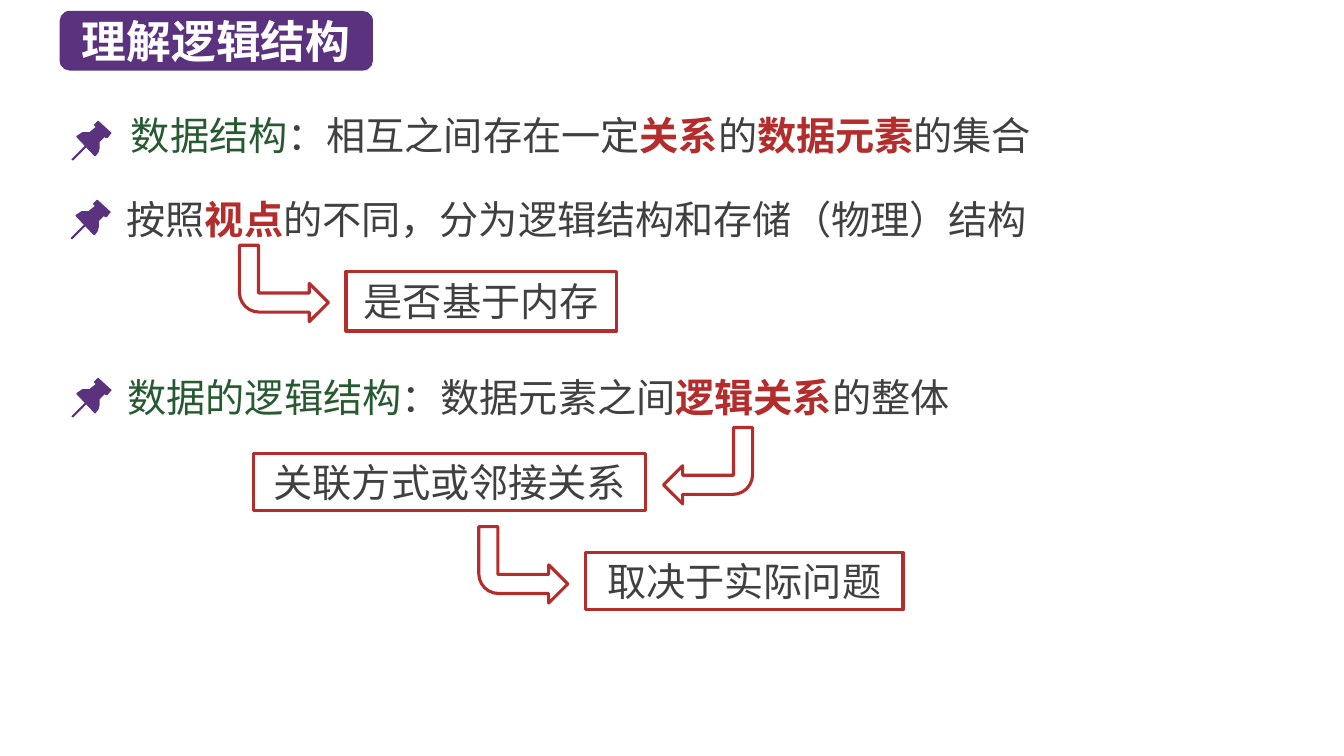
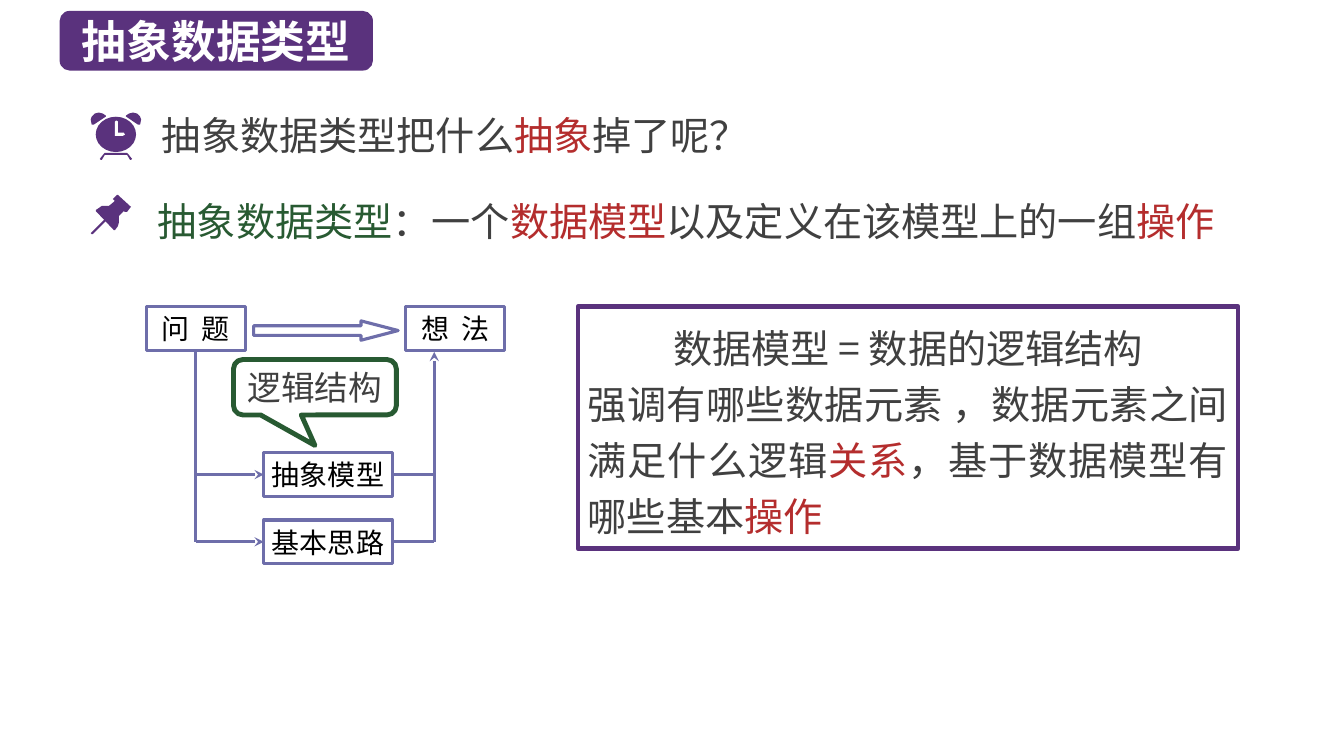
from dataclasses import dataclass

from lxml import etree
from pptx import Presentation
from pptx import util as u
from pptx.dml.color import RGBColor
from pptx.enum import shapes as sh, text as tx
from pptx.oxml.ns import qn

CELL = u.Inches(1) // 12  # the slide is a grid of 160 columns by 90 rows
COLS, ROWS = 160, 90


class Theme:
    font = "Noto Sans CJK SC"
    purple, red, green = "5A327D", "B42D2D", "285A32"
    ink, black, white, blue = "404040", "000000", "FFFFFF", "6E6EAA"
    title, body, call, node = 32, 28, 24, 20
    thin, thick, bold = 2.25, 3, 3.5


T = Theme


@dataclass
class Box:
    x: float
    y: float
    w: float
    h: float

    def at(self, x, y, w, h):
        return Box(self.x + x, self.y + y, w, h)

    def emu(self):
        return [int(v * CELL) for v in (self.x, self.y, self.w, self.h)]


def rgb(code):
    return RGBColor.from_string(code)


# Text
def style(run, size, color, bold=False):
    font = run.font
    font.size, font.bold, font.name = u.Pt(size), bold, T.font
    font.color.rgb = rgb(color)
    etree.SubElement(run._r.get_or_add_rPr(), qn("a:ea")).set("typeface", T.font)


def fill_para(para, parts, size):
    """Each part is (words, colour) or (words, colour, bold)."""
    for words, *look in parts:
        run = para.add_run()
        run.text = words
        style(run, size, *look)


def label(shape, words, size, color, bold=False, inset=0.1):
    frame = shape.text_frame
    frame.word_wrap = True
    frame.vertical_anchor = tx.MSO_ANCHOR.MIDDLE
    frame.margin_left = frame.margin_right = u.Inches(inset)
    frame.margin_top = frame.margin_bottom = 0
    frame.text = words
    para = frame.paragraphs[0]
    para.alignment = tx.PP_ALIGN.CENTER
    style(para.runs[0], size, color, bold)


# Shapes
def paint(shape, fill=None, line=None, width=T.thin):
    shape.shadow.inherit = False
    if fill:
        shape.fill.solid()
        shape.fill.fore_color.rgb = rgb(fill)
    else:
        shape.fill.background()
    if line:
        shape.line.color.rgb = rgb(line)
        shape.line.width = u.Pt(width)
    else:
        shape.line.fill.background()


def draw(slide, kind, box, fill=None, line=None, width=T.thin, adj=()):
    shape = slide.shapes.add_shape(getattr(sh.MSO_SHAPE, kind), *box.emu())
    paint(shape, fill, line, width)
    for i, value in enumerate(adj):
        shape.adjustments[i] = value
    return shape


def trace(slide, box, span, points, color):
    """Draw an outline whose points lie on a lattice, span units wide."""
    x, y, w, _ = box.emu()
    pen = slide.shapes.build_freeform(*points[0], scale=w / span)
    pen.add_line_segments(points[1:], close=True)
    paint(pen.convert_to_shape(x, y), color)


def wire(slide, start, end, arrow=False):
    ends = [int(v * CELL) for v in (*start, *end)]
    line = slide.shapes.add_connector(sh.MSO_CONNECTOR.STRAIGHT, *ends)
    line.line.color.rgb = rgb(T.blue)
    line.line.width = u.Pt(T.thin)
    if arrow:
        tail = etree.SubElement(line.line._get_or_add_ln(), qn("a:tailEnd"))
        tail.set("type", "stealth")
    etree.SubElement(line._element.spPr, qn("a:effectLst"))
    return line


# Icons
HEAD = [(40, 12), (27, 0), (26, 0), (22, 4), (24, 6), (18, 11), (15, 11),
        (11, 11), (8, 13), (5, 15), (5, 16), (23, 35), (24, 35), (27, 31),
        (28, 27), (28, 21), (33, 16), (34, 17), (36, 17), (39, 13)]
SPIKE = [(2, 39), (1, 39), (0, 38), (1, 37), (14, 24), (15, 24), (16, 25),
         (15, 26)]
BELL = [(8, 0), (4, 1), (1, 4), (0, 7), (1, 12), (3, 12), (15, 4), (15, 3),
        (12, 1)]
LEGS = [(41, 46), (37, 41), (36, 40), (14, 40), (13, 41), (9, 46), (10, 47),
        (11, 47), (14, 42), (36, 42), (39, 47), (40, 47)]
HANDS = [(24, 9), (25, 8), (26, 8), (27, 9), (27, 20), (33, 20), (34, 22),
         (32, 23), (24, 23)]


def pin(slide, box):
    area = box.at(0, 0, 4.8, 4.7)
    for points in (HEAD, SPIKE):
        trace(slide, area, 40, points, T.purple)


def clock(slide, box):
    area = box.at(0, 0, 6, 5.6)
    for points in (BELL, [(50 - x, y) for x, y in BELL], LEGS):
        trace(slide, area, 50, points, T.purple)
    draw(slide, "OVAL", area.at(0.6, 0.5, 4.8, 4.2), T.purple)
    trace(slide, area, 50, HANDS, T.white)


# Parts of a slide
def badge(slide, words):
    shape = draw(slide, "ROUNDED_RECTANGLE", Box(7.1, 1.3, 37.3, 7.1), T.purple)
    label(shape, words, T.title, T.white, True)


def note(slide, box, icon, gap, drop, parts, lead=1.0):
    """An icon, drop rows down, and a line of text, gap columns in."""
    icon(slide, box.at(0, drop, 6, 6))
    area = box.at(gap, 0, box.w - gap, box.h)
    frame = slide.shapes.add_textbox(*area.emu()).text_frame
    frame.word_wrap = True
    para = frame.paragraphs[0]
    para.line_spacing = lead
    fill_para(para, parts, T.body)


def step(slide, box, words, back=False):
    """A framed answer with a bent arrow that leads to it."""
    label(draw(slide, "RECTANGLE", box, line=T.red), words, T.body, T.ink)
    x = box.w + 2.1 if back else -12.7
    bend = draw(slide, "BENT_ARROW", box.at(x, -3.1, 10.6, 9.1), line=T.red,
                adj=(0.25, 0.25, 0.25, 0.26))
    frame = bend._element.spPr.xfrm
    frame.set("flipV", "1")
    if back:
        frame.set("flipH", "1")


def flow(slide, box):
    """From problem to idea, by way of the model and the plan."""
    def node(x, y, w, words):
        shape = draw(slide, "RECTANGLE", box.at(x, y, w, 5.2), line=T.blue)
        label(shape, words, T.node, T.black, inset=0.05)
        return shape

    ask = node(0, 0, 11.8, "问 题")
    idea = node(30.9, 0, 11.8, "想 法")
    for shape in (ask, idea):
        run = shape.text_frame.paragraphs[0].runs[0]
        run._r.get_or_add_rPr().set("spc", "200")
    draw(slide, "RIGHT_ARROW", box.at(12.8, 1.7, 17.2, 2.3), line=T.blue,
         adj=(0.5, 1.92))

    left, right = box.x + 5.9, box.x + 34.3
    low = box.y + 28
    for y, words in ((17.4, "抽象模型"), (25.4, "基本思路")):
        shape = node(14, y, 15.3, words)
        mid = box.y + y + 2.6
        wire(slide, (left, mid), (box.x + 14, mid), True).end_connect(shape, 1)
        wire(slide, (box.x + 29.3, mid), (right, mid)).begin_connect(shape, 3)
    wire(slide, (left, box.y + 5.2), (left, low)).begin_connect(ask, 2)
    wire(slide, (right, low), (right, box.y + 5.4), True)

    bubble = draw(slide, "ROUNDED_RECTANGULAR_CALLOUT",
                  box.at(10.4, 6.3, 19.4, 6.6), line=T.green, width=T.bold,
                  adj=(0, 1.05, 0.17))
    label(bubble, "逻辑结构", T.call, T.ink, inset=0.02)


def panel(slide, box, rows):
    shape = draw(slide, "RECTANGLE", box, line=T.purple, width=T.thick)
    frame = shape.text_frame
    frame.word_wrap = True
    frame.vertical_anchor = tx.MSO_ANCHOR.MIDDLE
    for i, (align, parts) in enumerate(rows):
        para = frame.add_paragraph() if i else frame.paragraphs[0]
        para.alignment = align
        para.line_spacing = u.Pt(40)
        fill_para(para, parts, T.body)


# Slides
def logic(slide):
    badge(slide, "理解逻辑结构")
    note(slide, Box(8.5, 12.7, 121, 7.2), pin, 5.9, 1.7, [
        ("数据结构", T.green), ("：相互之间存在一定", T.ink),
        ("关系", T.red, True), ("的", T.ink),
        ("数据元素", T.red, True), ("的集合", T.ink)])
    note(slide, Box(8.4, 22.7, 118, 7.6), pin, 5.5, 1.1, [
        ("按照", T.ink), ("视点", T.red, True),
        ("的不同，分为逻辑结构和存储（物理）结构", T.ink)])
    step(slide, Box(41.2, 32.3, 32.2, 7.1), "是否基于内存")
    note(slide, Box(8.5, 43.8, 138, 7.6), pin, 5.5, 1.2, [
        ("数据的逻辑结构", T.green), ("：数据元素之间", T.ink),
        ("逻辑关系", T.red, True), ("的整体", T.ink)])
    step(slide, Box(30.2, 54, 46.7, 6.8), "关联方式或邻接关系", back=True)
    step(slide, Box(69.7, 65.8, 37.8, 6.8), "取决于实际问题")


def types(slide):
    badge(slide, "抽象数据类型")
    note(slide, Box(10.8, 12.6, 94, 6.8), clock, 7.3, 0.8, [
        ("抽象数据类型把什么", T.ink), ("抽象", T.red), ("掉了呢？", T.ink)])
    note(slide, Box(10.8, 22.3, 144, 7.4), pin, 6.8, 0.9, [
        ("抽象数据类型", T.green), ("：一个", T.ink), ("数据模型", T.red),
        ("以及定义在该模型上的一组", T.ink), ("操作", T.red)], lead=1.1)
    flow(slide, Box(17.4, 36.5, 42.7, 30.6))
    panel(slide, Box(68.8, 36.5, 78.6, 28.8), [
        (tx.PP_ALIGN.CENTER, [("数据模型 = 数据的逻辑结构", T.ink)]),
        (tx.PP_ALIGN.JUSTIFY, [
            ("强调有哪些数据元素 ，数据元素之间满足什么逻辑", T.ink),
            ("关系", T.red), ("，基于数据模型有哪些基本", T.ink),
            ("操作", T.red)])])


def main():
    deck = Presentation()
    deck.slide_width, deck.slide_height = COLS * CELL, ROWS * CELL
    for build in (logic, types):
        build(deck.slides.add_slide(deck.slide_layouts[6]))
    deck.save("out.pptx")


if __name__ == "__main__":
    main()
